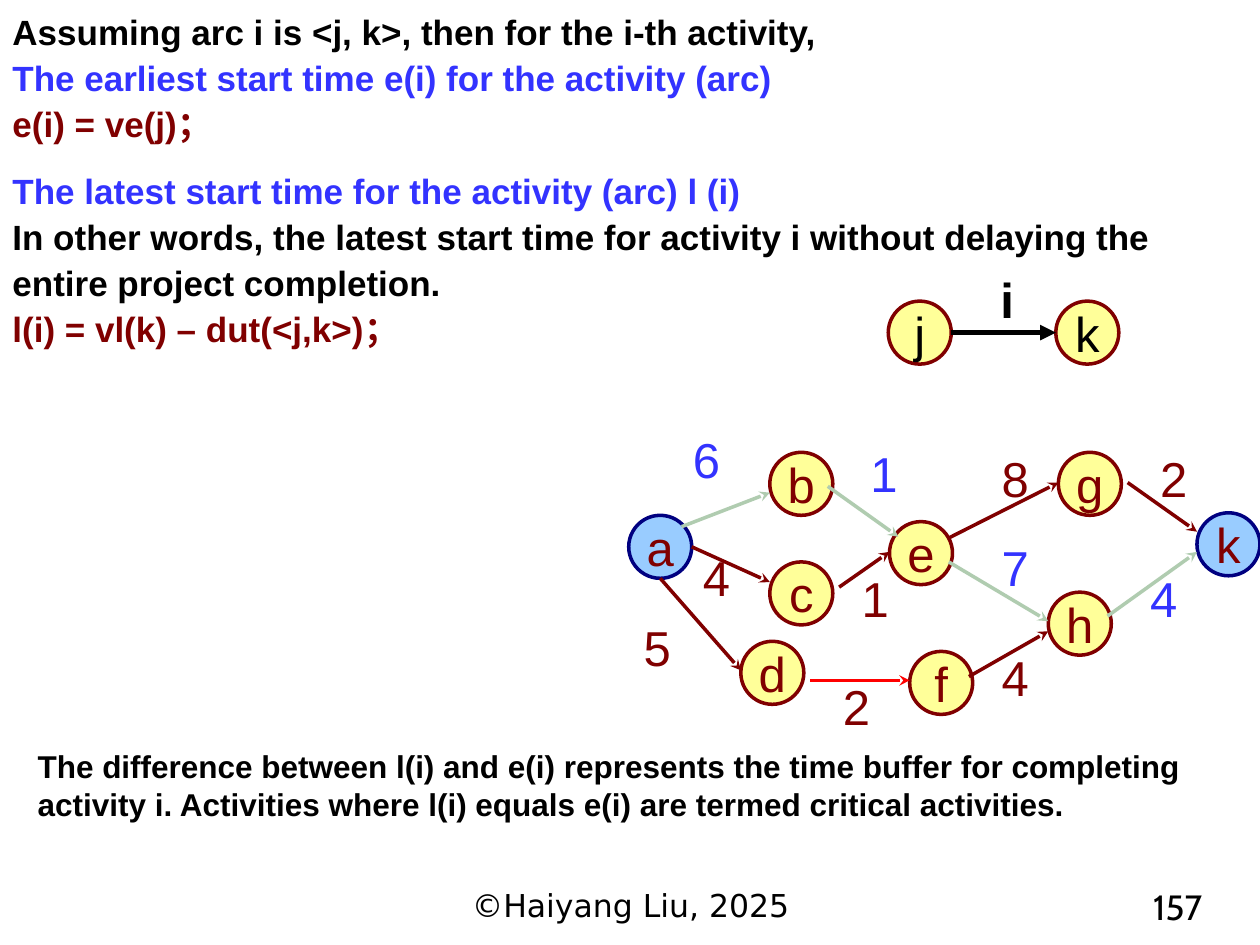
from lxml import etree
from pptx import Presentation
from pptx.dml.color import RGBColor
from pptx.enum import shapes, text
from pptx.oxml import ns
from pptx.util import Inches, Pt

BLACK = RGBColor(0x00, 0x00, 0x00)
BLUE = RGBColor(0x33, 0x33, 0xFF)
MAROON = RGBColor(0x80, 0x00, 0x00)
NAVY = RGBColor(0x00, 0x00, 0x80)
RED = RGBColor(0xFF, 0x00, 0x00)
SAGE = RGBColor(0xB0, 0xCC, 0xB0)
SKY = RGBColor(0x99, 0xCC, 0xFF)
YELLOW = RGBColor(0xFF, 0xFF, 0x99)
NODE_SIZE = 0.5

deck = Presentation()
deck.slide_width, deck.slide_height = Inches(10), Inches(7.5)
slide = deck.slides.add_slide(deck.slide_layouts[6])


def write(shape, lines, size, face="Arial", bold=False, align=None, wrap=True):
    frame = shape.text_frame
    frame.word_wrap = wrap
    for index, (words, color) in enumerate(lines):
        paragraph = frame.add_paragraph() if index else frame.paragraphs[0]
        paragraph.text = words
        paragraph.alignment = align
        paragraph.font.name = face
        paragraph.font.size = Pt(size)
        paragraph.font.bold = bold
        paragraph.font.color.rgb = color
    return frame


def draw_graph(canvas, nodes, arcs, weights, width, head, bold=False):
    for name, left, top, fill, outline, color in nodes:
        node = canvas.add_shape(shapes.MSO_SHAPE.OVAL, Inches(left), Inches(top),
                                Inches(NODE_SIZE), Inches(NODE_SIZE))
        node.shadow.inherit = False
        node.fill.solid()
        node.fill.fore_color.rgb = fill
        node.line.color.rgb = outline
        node.line.width = Pt(2)
        frame = write(node, [(name, color)], 28, align=text.PP_ALIGN.CENTER, wrap=False)
        frame.vertical_anchor = text.MSO_ANCHOR.MIDDLE
    for x1, y1, x2, y2, color in arcs:
        arc = canvas.add_connector(shapes.MSO_CONNECTOR.STRAIGHT, Inches(x1), Inches(y1),
                                   Inches(x2), Inches(y2))
        arc.line.color.rgb = color
        arc.line.width = Pt(width)
        etree.SubElement(arc.line._get_or_add_ln(), ns.qn("a:tailEnd"), type=head)
        etree.SubElement(arc._element.spPr, ns.qn("a:effectLst"))
    for words, left, top, color in weights:
        weight = canvas.add_textbox(Inches(left), Inches(top), Inches(0.42), Inches(0.57))
        write(weight, [(words, color)], 28, bold=bold, wrap=False)


definitions = slide.shapes.add_textbox(0, 0, Inches(9.75), Inches(2.86))
definition_frame = write(definitions, [
    ("Assuming arc i is <j, k>, then for the i-th activity,", BLACK),
    ("The earliest start time e(i) for the activity (arc)", BLUE),
    ("e(i) = ve(j)；", MAROON),
    ("The latest start time for the activity (arc) l (i)", BLUE),
    ("In other words, the latest start time for activity i without delaying "
     "the entire project completion.", BLACK),
    ("l(i) = vl(k) – dut(<j,k>)；", MAROON),
], 20, bold=True)
for paragraph in definition_frame.paragraphs:
    paragraph.line_spacing = 1.1
definition_frame.paragraphs[3].space_before = Pt(11.5)

draw_graph(
    slide.shapes,
    [(name, left, 2.39, YELLOW, MAROON, BLACK) for name, left in (("j", 7.05), ("k", 8.38))],
    [(7.55, 2.64, 8.38, 2.64, BLACK)],
    [("i", 7.84, 2.09, BLACK)],
    3, "triangle", bold=True)

endpoints = [("a", 4.99, 4.09), ("k", 9.5, 4.07)]
events = [("b", 6.11, 3.59), ("c", 6.11, 4.46), ("d", 5.88, 5.09), ("e", 7.06, 4.14),
          ("f", 7.22, 5.17), ("g", 8.4, 3.59), ("h", 8.32, 4.7)]
project_nodes = [(*node, SKY, NAVY, MAROON) for node in endpoints]
project_nodes += [(*node, YELLOW, MAROON, MAROON) for node in events]
activities = [
    (5.41, 4.18, 6.11, 3.91, SAGE),
    (5.49, 4.34, 6.11, 4.62, MAROON),
    (6.66, 4.66, 7.06, 4.38, MAROON),
    (6.57, 3.86, 7.13, 4.26, SAGE),
    (7.53, 4.27, 8.4, 3.83, MAROON),
    (8.95, 3.83, 9.5, 4.22, MAROON),
    (8.79, 4.89, 9.5, 4.38, SAGE),
    (7.53, 4.46, 8.32, 4.93, SAGE),
    (5.24, 4.59, 5.88, 5.32, MAROON),
    (6.43, 5.4, 7.22, 5.4, RED),
    (7.69, 5.37, 8.32, 5.01, MAROON),
]
durations = [
    ("6", 5.4, 3.36, BLUE), ("4", 5.48, 4.3, MAROON), ("5", 5.01, 4.85, MAROON),
    ("1", 6.81, 3.47, BLUE), ("1", 6.74, 4.46, MAROON), ("8", 7.85, 3.51, MAROON),
    ("7", 7.85, 4.22, BLUE), ("2", 9.11, 3.51, MAROON), ("4", 9.03, 4.46, BLUE),
    ("4", 7.85, 5.09, MAROON), ("2", 6.59, 5.32, MAROON),
]
project = slide.shapes.add_group_shape()
draw_graph(project.shapes, project_nodes, activities, durations, 2, "stealth")

conclusion = slide.shapes.add_textbox(Inches(0.2), Inches(5.88), Inches(9.65), Inches(0.71))
write(conclusion, [("The difference between l(i) and e(i) represents the time buffer for "
                    "completing activity i. Activities where l(i) equals e(i) are termed "
                    "critical activities.", BLACK)], 18, bold=True)

copyright_line = slide.shapes.add_textbox(Inches(3.42), Inches(6.98), Inches(3.17), Inches(0.39))
write(copyright_line, [("©Haiyang Liu, 2025", BLACK)], 18, "DejaVu Sans",
      align=text.PP_ALIGN.CENTER)
page_number = slide.shapes.add_textbox(Inches(8.11), Inches(6.98), Inches(1.53), Inches(0.39))
write(page_number, [("157", BLACK)], 20, "Cabin", align=text.PP_ALIGN.RIGHT)

deck.save("out.pptx")
